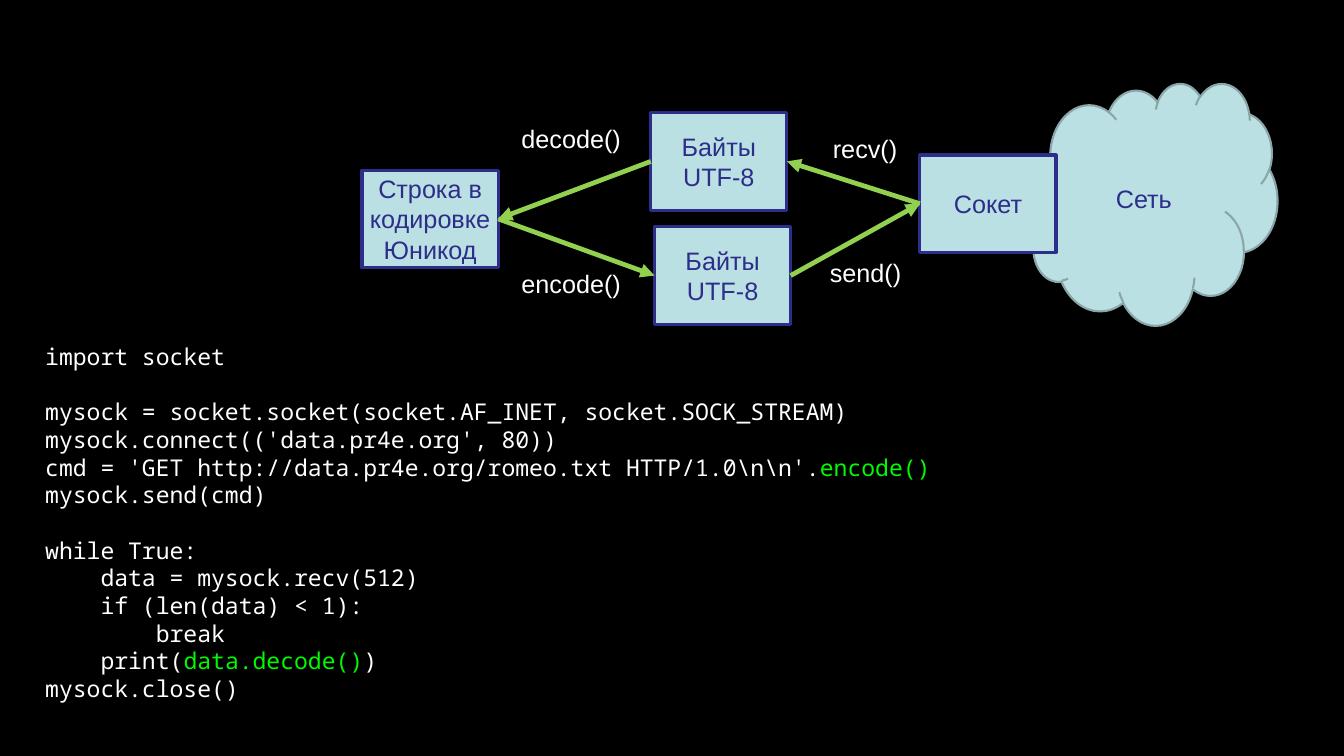
from pptx import Presentation
from pptx.dml.color import RGBColor
from pptx.enum.shapes import MSO_CONNECTOR, MSO_SHAPE
from pptx.enum.text import MSO_ANCHOR, PP_ALIGN
from pptx.oxml.ns import qn
from pptx.util import Pt
from lxml.etree import SubElement

PX = 9144  # EMU in one px, 100 px to the inch


class Theme:
    bg = RGBColor.from_string("000000")
    light = RGBColor.from_string("FFFFFF")
    fill = RGBColor.from_string("BBE0E3")
    navy = RGBColor.from_string("2D2D8A")
    cloud_line = RGBColor.from_string("8AA6A8")
    arrow = RGBColor.from_string("92D050")
    accent = RGBColor.from_string("00FA00")
    font, size = "Arial", 24
    code_font, code_size, code_line = "Noto Sans Mono", 22, 26.35


# Content: diagram
SLIDE = (1778, 1000)
BOX = (180, 129)
CLOUD = ("Сеть", 1360, 110, 330, 320)
BOXES = {
    "socket": ("Сокет", 1217, 205),
    "received": ("Байты\nUTF-8", 861, 149),
    "string": ("Строка в кодировке Юникод", 479, 225),
    "sent": ("Байты\nUTF-8", 866, 300),
}
LEFT, RIGHT = 1, 3  # connection sites of a rectangle
ARROWS = [
    ("string", RIGHT, "sent", LEFT),
    ("socket", LEFT, "received", RIGHT),
    ("sent", RIGHT, "socket", LEFT),
    ("received", LEFT, "string", RIGHT),
]
LABELS = [
    ("recv()", 1092, 172, 106),
    ("decode()", 680, 158, 153),
    ("encode()", 680, 350, 153),
    ("send()", 1088, 336, 116),
]
LABEL_HEIGHT = 50

# Content: code in blocks of lines; every second part of a line is highlighted
CODE_AREA = (50, 448, 1244, 491)
CODE = [
    [["import socket"]],
    [
        ["mysock = socket.socket(socket.AF_INET, socket.SOCK_STREAM)"],
        ["mysock.connect(('data.pr4e.org', 80))"],
        ["cmd = 'GET http://data.pr4e.org/romeo.txt HTTP/1.0\\n\\n'.", "encode()"],
        ["mysock.send(cmd)"],
    ],
    [
        ["while True:"],
        ["    data = mysock.recv(512)"],
        ["    if (len(data) < 1):"],
        ["        break"],
        ["    print(", "data.decode()", ")"],
        ["mysock.close()"],
    ],
]


def px(*lengths):
    return [n * PX for n in lengths]


def style(font, name, size, color):
    font.name, font.size = name, Pt(size)
    font.color.rgb = color


def add_node(s, kind, text, x, y, w, h, line, width):
    sp = s.shapes.add_shape(kind, *px(x, y, w, h))
    sp.shadow.inherit = False
    sp.fill.solid()
    sp.fill.fore_color.rgb = Theme.fill
    sp.line.color.rgb = line
    sp.line.width = Pt(width)
    tf = sp.text_frame
    tf.word_wrap = True
    tf.vertical_anchor = MSO_ANCHOR.MIDDLE
    tf.margin_left = tf.margin_right = 5 * PX
    tf.text = text
    for p in tf.paragraphs:
        p.alignment = PP_ALIGN.CENTER
        style(p.runs[0].font, Theme.font, Theme.size, Theme.navy)
    return sp


def add_arrow(s, start, start_site, end, end_site):
    line = s.shapes.add_connector(MSO_CONNECTOR.STRAIGHT, 0, 0, 0, 0)
    line.begin_connect(start, start_site)
    line.end_connect(end, end_site)
    line.line.color.rgb = Theme.arrow
    line.line.width = Pt(4.5)
    sp_pr = line._element.spPr
    SubElement(sp_pr.find(qn("a:ln")), qn("a:tailEnd"), type="triangle")
    SubElement(sp_pr, qn("a:effectLst"))


def add_label(s, text, x, y, w):
    tf = s.shapes.add_textbox(*px(x, y, w, LABEL_HEIGHT)).text_frame
    tf.word_wrap = False
    tf.text = text
    style(tf.paragraphs[0].runs[0].font, Theme.font, Theme.size, Theme.light)


def add_code(s):
    tf = s.shapes.add_textbox(*px(*CODE_AREA)).text_frame
    tf.word_wrap = True
    for b, block in enumerate(CODE):
        for i, parts in enumerate(block):
            p = tf.add_paragraph() if b or i else tf.paragraphs[0]
            p.line_spacing = Pt(Theme.code_line)
            if b and i == 0:  # one line of space between blocks
                p.space_before = Pt(Theme.code_line)
            for n, part in enumerate(parts):
                r = p.add_run()
                r.text = part
                color = Theme.accent if n % 2 else Theme.light
                style(r.font, Theme.code_font, Theme.code_size, color)


def main():
    prs = Presentation()
    prs.slide_width, prs.slide_height = px(*SLIDE)
    s = prs.slides.add_slide(prs.slide_layouts[6])
    s.background.fill.solid()
    s.background.fill.fore_color.rgb = Theme.bg

    # Diagram
    add_node(s, MSO_SHAPE.CLOUD, *CLOUD, Theme.cloud_line, 2)
    nodes = {
        key: add_node(s, MSO_SHAPE.RECTANGLE, *box, *BOX, Theme.navy, 3)
        for key, box in BOXES.items()
    }
    for start, start_site, end, end_site in ARROWS:
        add_arrow(s, nodes[start], start_site, nodes[end], end_site)
    for label in LABELS:
        add_label(s, *label)

    # Code
    add_code(s)
    prs.save("out.pptx")


if __name__ == "__main__":
    main()
